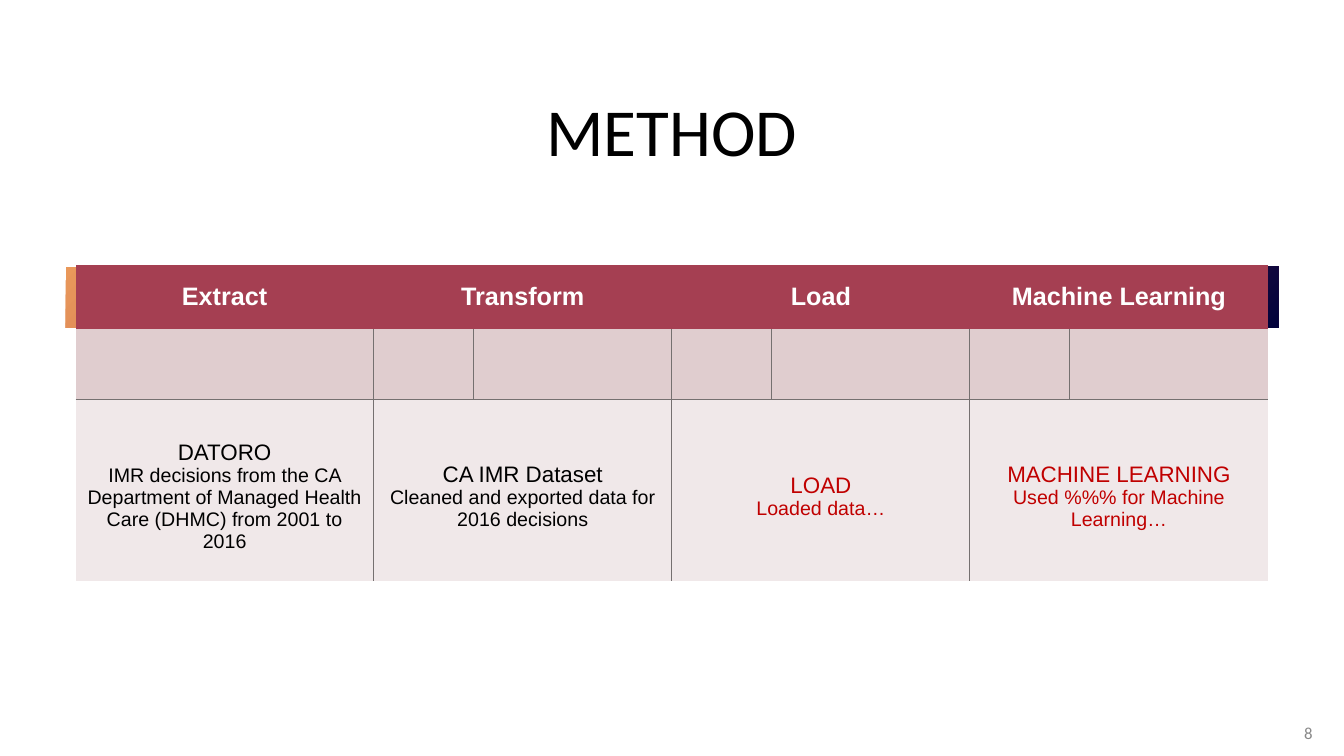
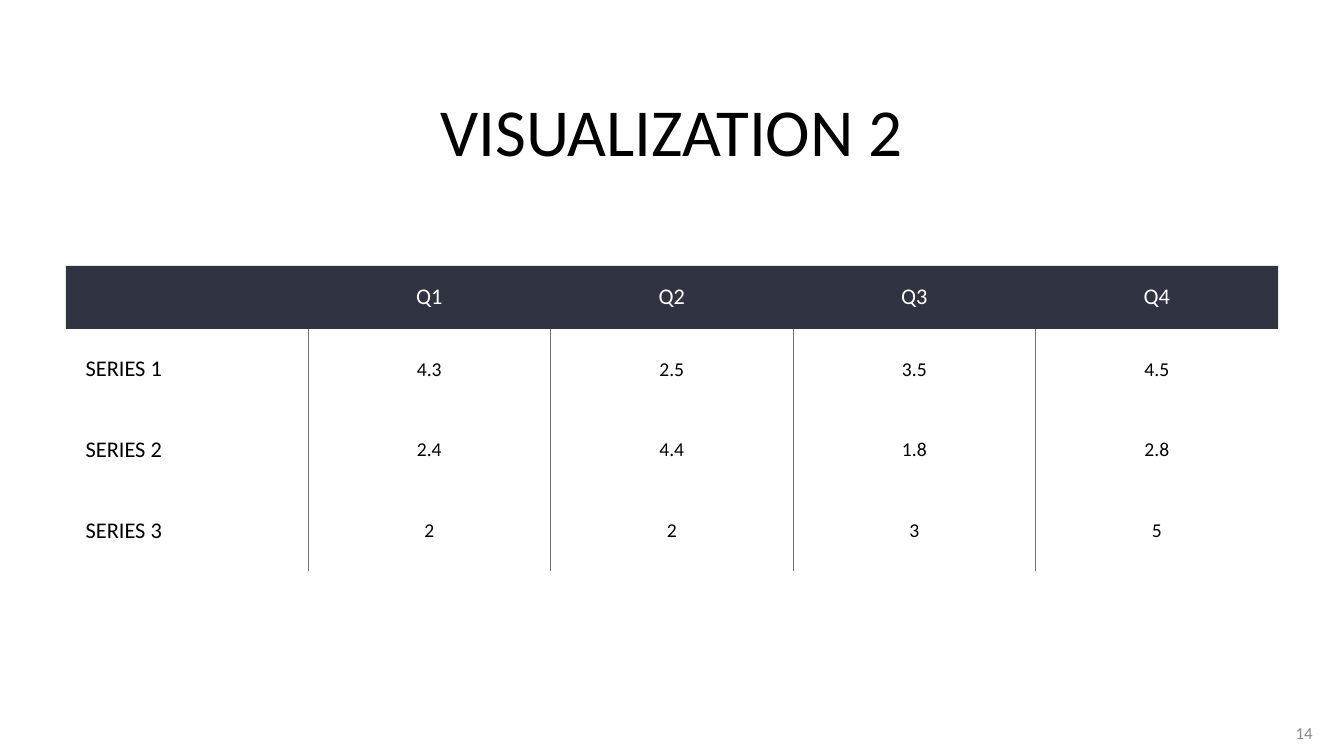
import pptx
import pptx.dml.color
import pptx.enum.shapes
import pptx.enum.text
import pptx.oxml
import pptx.oxml.ns
import pptx.util

Pt = pptx.util.Pt
ALIGN = pptx.enum.text.PP_ALIGN
MIDDLE = pptx.enum.text.MSO_ANCHOR.MIDDLE
NS = pptx.oxml.ns.nsdecls("a")
NO_STYLE = "{2D5ABB26-0587-4C30-8999-92F81FD0307C}"


def rgb(value):
    return pptx.dml.color.RGBColor.from_string(value)


class Deck:
    HEAD, BODY = "Calibri", "Arial"
    BLACK, WHITE, GREY, ALERT = "000000", "FFFFFF", "888888", "C00000"
    NAVY, WINE, ORANGE = "01023B", "A53F52", "E9985A"
    ROSE, BLUSH, SLATE = "E0CDCF", "F0E8E9", "2F3342"
    RULE, PALE_RULE = "757070", "E7E6E6"
    LEFT, WIDTH, TABLE_TOP = 46.8, 866.25, 189.5

    def __init__(self):
        self.prs = pptx.Presentation()
        self.prs.slide_width, self.prs.slide_height = Pt(960), Pt(540)
        self.s = None

    def slide(self, title, number):
        self.s = self.prs.slides.add_slide(self.prs.slide_layouts[6])
        self.band()
        self.text(self.LEFT, 60.5, self.WIDTH, 64.8, title, 48, self.BLACK, ALIGN.CENTER)
        self.text(909.4, 509, 35.3, 28.8, number, 12, self.GREY, ALIGN.RIGHT)

    def band(self):
        sp = self.s.shapes.add_shape(
            pptx.enum.shapes.MSO_SHAPE.RECTANGLE,
            Pt(self.LEFT), Pt(190.4), Pt(self.WIDTH), Pt(43.9))
        sp.shadow.inherit = False
        sp.line.fill.background()
        sp.fill.gradient()
        stops = "".join(
            f'<a:gs pos="{i * 50000}"><a:srgbClr val="{color}"/></a:gs>'
            for i, color in enumerate((self.NAVY, self.WINE, self.ORANGE)))
        grad = sp.element.spPr.find(pptx.oxml.ns.qn("a:gradFill"))
        sp.element.spPr.replace(grad, pptx.oxml.parse_xml(
            f'<a:gradFill {NS}><a:gsLst>{stops}</a:gsLst><a:path path="circle">'
            '<a:fillToRect l="100000" t="100000"/></a:path></a:gradFill>'))

    def run(self, p, text, size, color, font, align, bold=False):
        p.alignment = align
        r = p.add_run()
        r.text = text
        r.font.size, r.font.name, r.font.bold = Pt(size), font, bold
        r.font.color.rgb = rgb(color)

    def text(self, x, y, w, h, text, size, color, align):
        tf = self.s.shapes.add_textbox(Pt(x), Pt(y), Pt(w), Pt(h)).text_frame
        tf.word_wrap = True
        tf.vertical_anchor = MIDDLE
        self.run(tf.paragraphs[0], text, size, color, self.HEAD, align)

    def table(self, x, col_width, cols, heights):
        frame = self.s.shapes.add_table(
            len(heights), cols, Pt(x), Pt(self.TABLE_TOP),
            Pt(col_width * cols), Pt(sum(heights)))
        table = frame.table
        table.first_row = table.horz_banding = False
        style = next(frame.element.iter(pptx.oxml.ns.qn("a:tableStyleId")))
        style.text = NO_STYLE
        for col in table.columns:
            col.width = Pt(col_width)
        for row, height in zip(table.rows, heights):
            row.height = Pt(height)
        return table

    def cell(self, cell, fill=None, edges="", edge_color=RULE):
        cell.vertical_anchor = MIDDLE
        if fill:
            cell.fill.solid()
            cell.fill.fore_color.rgb = rgb(fill)
        else:
            cell.fill.background()
        tcPr = cell._tc.get_or_add_tcPr()
        for i, edge in enumerate(e for e in "LRTB" if e in edges):
            tcPr.insert(i, pptx.oxml.parse_xml(
                f'<a:ln{edge} {NS} w="9525"><a:solidFill>'
                f'<a:srgbClr val="{edge_color}"/></a:solidFill></a:ln{edge}>'))
        return cell.text_frame


def method_slide(deck):
    deck.slide("METHOD", "8")
    steps = [
        ("Extract", "DATORO", "IMR decisions from the CA Department of Managed "
         "Health Care (DHMC) from 2001 to 2016", deck.BLACK),
        ("Transform", "CA IMR Dataset",
         "Cleaned and exported data for 2016 decisions", deck.BLACK),
        ("Load", "LOAD", "Loaded data…", deck.ALERT),
        ("Machine Learning", "MACHINE LEARNING",
         "Used %%% for Machine Learning…", deck.ALERT),
    ]
    span = 3
    cols = span * len(steps)
    table = deck.table(54, 71, cols, (45.5, 50.5, 129.5))
    for c in range(cols):
        sides = "L" if c and c % span == 0 else ""
        if c % span == span - 1 and c < cols - 1:
            sides = "R"
        deck.cell(table.cell(0, c), deck.WINE)
        deck.cell(table.cell(1, c), deck.ROSE, sides + "B")
        deck.cell(table.cell(2, c), deck.BLUSH, sides + "T")
    for i, (step, heading, detail, color) in enumerate(steps):
        first = i * span
        for row in (0, 2):
            table.cell(row, first).merge(table.cell(row, first + span - 1))
        deck.run(table.cell(0, first).text_frame.paragraphs[0], step, 18,
                 deck.WHITE, deck.BODY, ALIGN.CENTER, True)
        tf = table.cell(2, first).text_frame
        p = tf.paragraphs[0]
        p.line_spacing = 1.5
        deck.run(p, heading, 16, color, deck.BODY, ALIGN.CENTER)
        deck.run(tf.add_paragraph(), detail, 14, color, deck.BODY, ALIGN.CENTER)


def visualization_slide(deck):
    deck.slide("VISUALIZATION 2", "14")
    rows = [
        ("", "Q1", "Q2", "Q3", "Q4"),
        ("SERIES 1", "4.3", "2.5", "3.5", "4.5"),
        ("SERIES 2", "2.4", "4.4", "1.8", "2.8"),
        ("SERIES 3", "2", "2", "3", "5"),
    ]
    cols = len(rows[0])
    table = deck.table(deck.LEFT, deck.WIDTH / cols, cols, (45.5, 57.6, 57.6, 57.6))
    for r, row in enumerate(rows):
        for c, value in enumerate(row):
            cell = table.cell(r, c)
            left, right = c == 0, c == cols - 1
            if r == 0:
                edges = "T" + "L" * left + "R" * right
                tf = deck.cell(cell, deck.SLATE, edges, deck.PALE_RULE)
            else:
                tf = deck.cell(cell, None, "L" * (not left) + "R" * (not right))
                if left:
                    cell.margin_left = Pt(14.4)
            if value:
                deck.run(tf.paragraphs[0], value, 16 if r == 0 or left else 14,
                         deck.BLACK if r else deck.WHITE, deck.HEAD,
                         ALIGN.LEFT if left else ALIGN.CENTER)


def main():
    deck = Deck()
    method_slide(deck)
    visualization_slide(deck)
    deck.prs.save("out.pptx")


if __name__ == "__main__":
    main()
